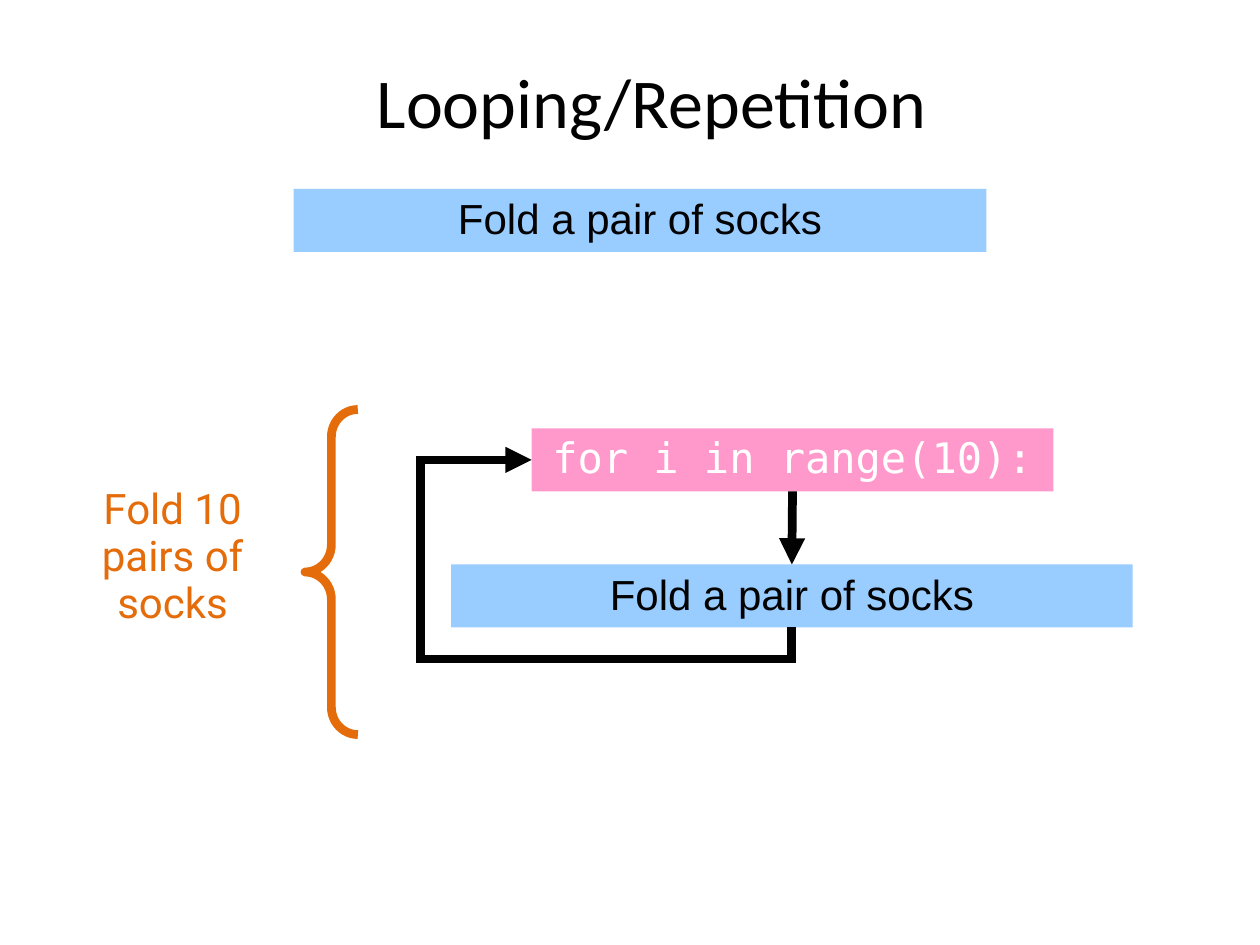
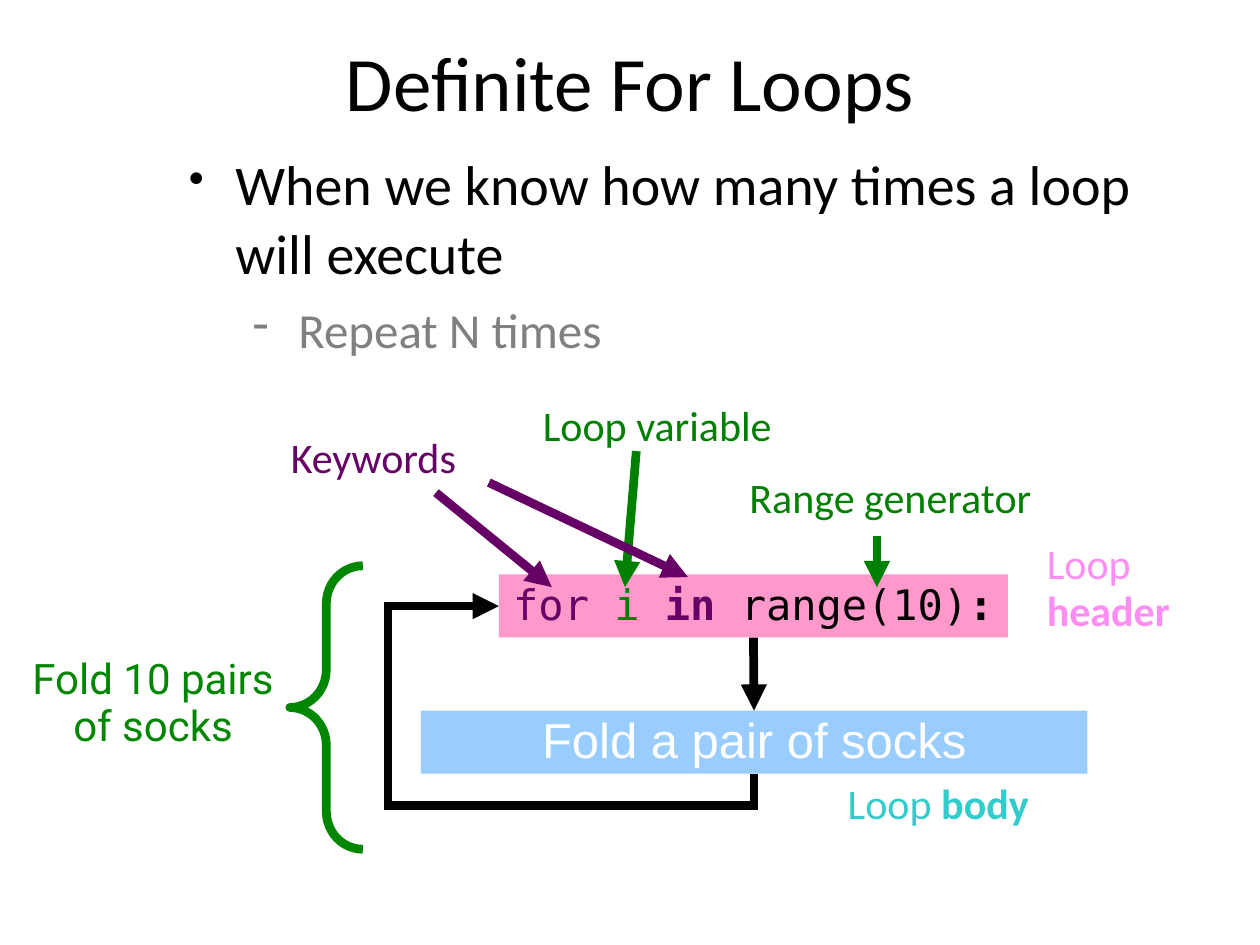
from dataclasses import dataclass

from lxml.etree import SubElement
from pptx import Presentation
from pptx.dml.color import RGBColor
from pptx.enum.shapes import MSO_CONNECTOR as Link, MSO_SHAPE as Shape
from pptx.enum.text import MSO_ANCHOR as Anchor, PP_ALIGN as Align
from pptx.oxml.ns import qn
from pptx.util import Inches, Pt


@dataclass(frozen=True)
class Theme:
    ink: str = "020202"
    white: str = "FFFFFF"
    grey: str = "808080"
    step_blue: str = "99CCFF"
    header_pink: str = "FF99CC"
    orange: str = "E46C0A"
    green: str = "008000"
    brace_green: str = "008600"
    purple: str = "660066"
    teal: str = "33CCCC"
    label_pink: str = "FF8EF4"
    sans: str = "Calibri"
    step_font: str = "Arial"
    code_font: str = "DejaVu Sans Mono"
    brace_font: str = "Roboto"
    label_size: int = 24
    sub_size: int = 28
    body_size: int = 32
    line_width: int = 5
    tight: float = 0.93
    loose: float = 1.02


THEME = Theme()
TOP, LEFT, BOTTOM = 0, 1, 2  # connection sites of a rectangle


def rgb(value):
    return RGBColor.from_string(value)


# Text
def add_span(para, text, color, font=THEME.sans, size=THEME.label_size, bold=False):
    span = para.add_run()
    span.text = text
    span.font.name = font
    span.font.size = Pt(size)
    span.font.bold = bold
    span.font.color.rgb = rgb(color)


def write_line(box, spans, font, size, align, anchor, wrap, spacing=THEME.tight):
    """Fill a box with one paragraph; each span is (text, colour[, bold])."""
    frame = box.text_frame
    frame.word_wrap = wrap
    frame.vertical_anchor = anchor
    para = frame.paragraphs[0]
    para.alignment = align
    para.line_spacing = spacing
    for text, color, *bold in spans:
        add_span(para, text, color, font, size, bool(bold))


def add_text_box(page, area):
    return page.shapes.add_textbox(*map(Inches, area))


def add_title(page, text, area, size, spacing):
    write_line(add_text_box(page, area), [(text, THEME.ink)], THEME.sans, size,
               Align.CENTER, Anchor.MIDDLE, True, spacing)


def add_label(page, area, spans, wrap=False):
    write_line(add_text_box(page, area), spans, THEME.sans, THEME.label_size,
               Align.LEFT, Anchor.TOP, wrap)


def add_bullet(para, text, mark, indent, before, size, color, mark_percent=100):
    para.line_spacing = THEME.loose
    para.space_before = Pt(before)
    props = para._p.get_or_add_pPr()
    props.set("marL", str(Inches(indent)))
    props.set("indent", str(Inches(-0.37)))
    mark_color = SubElement(props, qn("a:buClr"))
    SubElement(mark_color, qn("a:srgbClr"), val=color)
    SubElement(props, qn("a:buSzPct"), val=str(mark_percent * 1000))
    SubElement(props, qn("a:buChar"), char=mark)
    add_span(para, text, color, size=size)


# Shapes
def add_bar(page, area, fill, spans, font, size=THEME.label_size):
    bar = page.shapes.add_shape(Shape.RECTANGLE, *map(Inches, area))
    bar.shadow.inherit = False
    bar.fill.solid()
    bar.fill.fore_color.rgb = rgb(fill)
    bar.line.fill.background()
    write_line(bar, spans, font, size, Align.CENTER, Anchor.MIDDLE, False)
    return bar


def add_step(page, area, color, size=THEME.label_size):
    return add_bar(page, area, THEME.step_blue, [("Fold a pair of socks", color)],
                   THEME.step_font, size)


def add_brace(page, brace_area, text_area, color):
    brace = page.shapes.add_shape(Shape.RIGHT_BRACE, *map(Inches, brace_area))
    brace.shadow.inherit = False
    brace.fill.background()
    brace.line.color.rgb = rgb(color)
    brace.line.width = Pt(THEME.line_width)
    brace.adjustments[0] = 0.517
    brace._element.spPr.find(qn("a:xfrm")).set("flipH", "1")
    write_line(add_text_box(page, text_area), [("Fold 10 pairs of socks", color)],
               THEME.brace_font, THEME.label_size, Align.CENTER, Anchor.MIDDLE, True)


# Arrows
def add_arrow(page, start=(0, 0), end=(0, 0), color=THEME.ink, kind=Link.STRAIGHT):
    arrow = page.shapes.add_connector(kind, *map(Inches, (*start, *end)))
    arrow.line.color.rgb = rgb(color)
    arrow.line.width = Pt(THEME.line_width)
    outline = arrow.line._get_or_add_ln()
    SubElement(outline, qn("a:miter"), lim="800000")
    SubElement(outline, qn("a:tailEnd"), type="triangle")
    SubElement(arrow._element.spPr, qn("a:effectLst"))
    return arrow


def add_loop_arrows(page, header, body, return_reach):
    down = add_arrow(page)
    down.begin_connect(header, BOTTOM)
    down.end_connect(body, TOP)

    back = add_arrow(page, kind=Link.ELBOW)
    back.begin_connect(body, BOTTOM)
    back.end_connect(header, LEFT)

    # Four-part elbow: a quarter turn around the centre of its bounds
    start_x, start_y = body.left + body.width // 2, body.top + body.height
    end_x, end_y = header.left, header.top + header.height // 2
    back.width, back.height = start_y - end_y, start_x - end_x
    back.left = (start_x + end_x - back.width) // 2
    back.top = (start_y + end_y - back.height) // 2
    props = back._element.spPr
    bounds = props.find(qn("a:xfrm"))
    bounds.attrib.pop("flipV", None)
    bounds.set("flipH", "1")
    bounds.set("rot", str(90 * 60000))
    geometry = props.find(qn("a:prstGeom"))
    geometry.set("prst", "bentConnector4")
    guides = geometry.find(qn("a:avLst"))
    if guides is None:
        guides = SubElement(geometry, qn("a:avLst"))
    for name, share in (("adj1", -0.188), ("adj2", return_reach)):
        SubElement(guides, qn("a:gd"), name=name, fmla=f"val {round(share * 100000)}")


# Slides
def build_repetition(page):
    add_step(page, (2.33, 1.5, 5.5, 0.5), THEME.ink)
    body = add_step(page, (3.58, 4.48, 5.41, 0.5), THEME.ink)
    header = add_bar(page, (4.22, 3.4, 4.14, 0.5), THEME.header_pink,
                     [("for i in range(10):", THEME.white)], THEME.code_font)
    add_loop_arrows(page, header, body, 1.428)
    add_brace(page, (2.42, 3.25, 0.42, 2.58), (0.33, 3.97, 2.08, 0.91), THEME.orange)
    add_title(page, "Looping/Repetition", (0.42, 0.25, 9.5, 1.17), 40, THEME.tight)


def build_for_loops(page):
    add_title(page, "Definite For Loops", (0.5, 0.01, 9, 1.25), 44, THEME.loose)
    frame = add_text_box(page, (1.4, 1.13, 7.68, 1.86)).text_frame
    frame.word_wrap = True
    add_bullet(frame.paragraphs[0], "When we know how many times a loop will execute",
               "•", 0.37, 8, THEME.body_size, THEME.ink, 80)
    sub_para = frame.add_paragraph()
    sub_para.level = 1
    add_bullet(sub_para, "Repeat N times", "‑", 0.87, 7, THEME.sub_size, THEME.grey)

    # Loop diagram
    body = add_step(page, (3.34, 5.64, 5.29, 0.5), THEME.white, THEME.sub_size)
    code = [("for ", THEME.purple), ("i ", THEME.green), ("in ", THEME.purple, True),
            ("range(10)", THEME.ink), (":", THEME.ink, True)]
    header = add_bar(page, (3.96, 4.56, 4.04, 0.5), THEME.header_pink, code,
                     THEME.code_font)
    add_loop_arrows(page, header, body, 1.435)
    add_brace(page, (2.3, 4.49, 0.58, 2.25), (0.05, 5.13, 2.33, 0.91),
              THEME.brace_green)

    # Labels and their pointers
    add_label(page, (6.63, 6.16, 1.86, 0.5),
              [("Loop ", THEME.teal), ("body", THEME.teal, True)])
    add_label(page, (8.21, 4.25, 1.58, 0.91),
              [("Loop", THEME.label_pink), (" header", THEME.label_pink, True)], True)
    callouts = [
        ("Loop variable", (4.21, 3.16, 2.05, 0.5), THEME.green,
         [((5.05, 3.58), (4.96, 4.66))]),
        ("Keywords", (2.21, 3.41, 1.56, 0.5), THEME.purple,
         [((3.46, 3.91), (4.38, 4.66)), ((3.88, 3.83), (5.46, 4.58))]),
        ("Range generator", (5.85, 3.73, 2.46, 0.5), THEME.green,
         [((6.96, 4.25), (6.96, 4.66))]),
    ]
    for text, area, color, pointers in callouts:
        add_label(page, area, [(text, color)])
        for start, end in pointers:
            add_arrow(page, start, end, color)


def main():
    deck = Presentation()
    deck.slide_width, deck.slide_height = Inches(10), Inches(7.5)
    blank = deck.slide_layouts[6]
    for build in (build_repetition, build_for_loops):
        build(deck.slides.add_slide(blank))
    deck.save("out.pptx")


if __name__ == "__main__":
    main()
